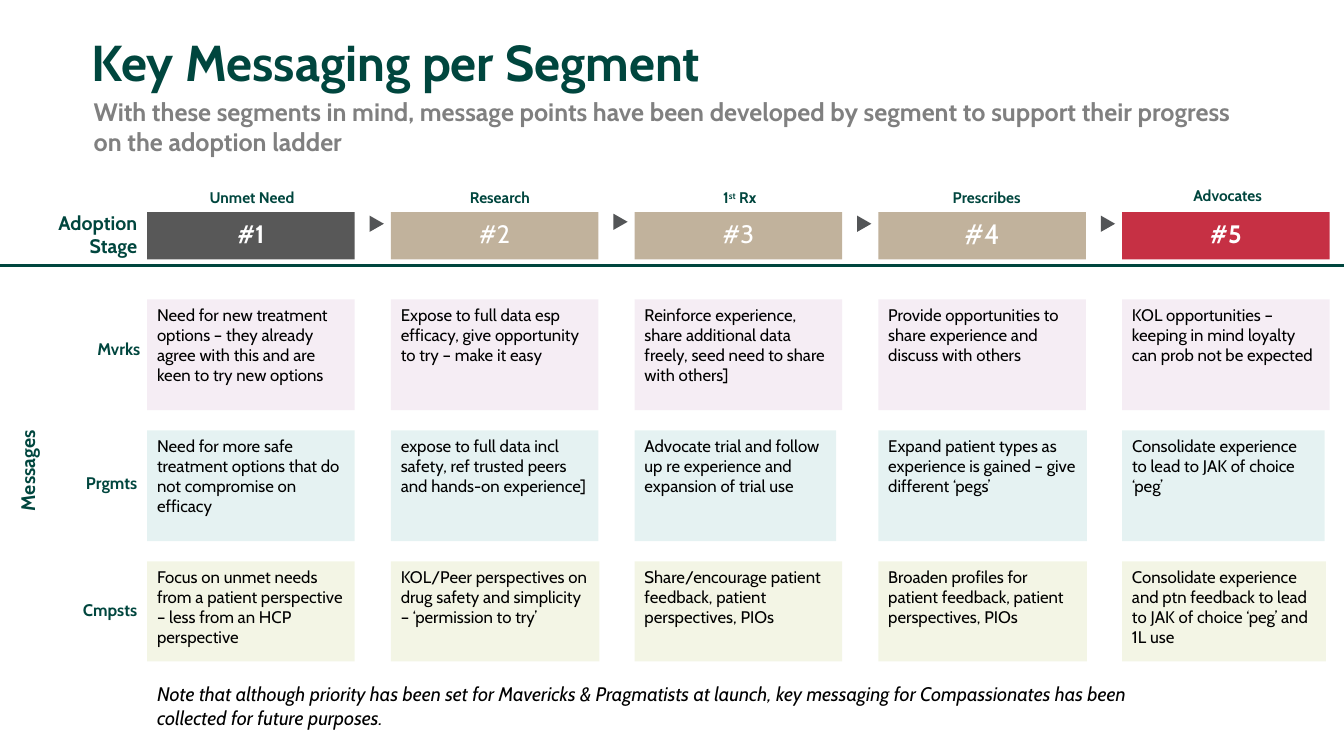
from lxml import etree
from pptx import Presentation
from pptx.dml.color import RGBColor
from pptx.enum import shapes, text
from pptx.oxml.ns import qn
from pptx.util import Pt

FONT = "Cabin"
HUE = dict(green="00463E", grey="808080", dark="585858", arrow="535557",
           tan="C1B29C", red="C63044", white="FFFFFF", black="000000",
           plum="A15699", teal="008986", olive="8CA509")

TITLE = "Key Messaging per Segment"
LEAD = ("With these segments in mind, message points have been developed by "
        "segment to support their progress on the adoption ladder")
NOTE = ("Note that although priority has been set for Mavericks & Pragmatists "
        "at launch, key messaging for Compassionates has been collected for "
        "future purposes.")

# caption, caption left, caption top, fill, number size, bold, arrow top
STAGES = [
    ("Unmet Need", 131.8, 131, "dark", 18, True, 154.8),
    ("Research", 308.9, 131, "tan", 18, False, 153.4),
    ("1st Rx", 480.2, 131, "tan", 18, False, 154.8),
    ("Prescribes", 656.6, 131, "tan", 20, False, 154.8),
    ("Advocates", 828.7, 129.6, "red", 18, True, None),
]

# name, name box (left, top, width), fill, card height, card widths, messages
GROUPS = [
    ("Mvrks", (41.8, 238.6, 65.5), "plum", 79.2,
     (148.3, 148.3, 148.3, 148.3, 148.3), [
        "Need for new treatment options – they already agree with this and are keen to try new options",
        "Expose to full data esp efficacy, give opportunity to try – make it easy",
        "Reinforce experience, share additional data freely, seed need to share with others]",
        "Provide opportunities to share experience and discuss with others",
        "KOL opportunities – keeping in mind loyalty can prob not be expected"]),
    ("Prgmts", (46.8, 334.1, 58.3), "teal", 79.2,
     (148.3, 148.3, 144, 149, 144.7), [
        "Need for more safe treatment options that do not compromise on efficacy",
        "expose to full data incl safety, ref trusted peers and hands-on experience]",
        "Advocate trial and follow up re experience and expansion of trial use",
        "Expand patient types as experience is gained – give different ‘pegs’",
        "Consolidate experience to lead to JAK of choice ‘peg’"]),
    ("Cmpsts", (13.7, 425.2, 91.4), "olive", 71.5,
     (148.3, 149, 148.3, 149, 145.6), [
        "Focus on unmet needs from a patient perspective – less from an HCP perspective",
        "KOL/Peer perspectives on drug safety and simplicity – ‘permission to try’",
        "Share/encourage patient feedback, patient perspectives, PIOs",
        "Broaden profiles for patient feedback, patient perspectives, PIOs",
        "Consolidate experience and ptn feedback to lead to JAK of choice ‘peg’ and 1L use"]),
]

LEFT, STEP, WIDE = 105.1, 174.1, 148.3
TOP, DROP = 213.8, 93.6
KIND = shapes.MSO_SHAPE
ALIGN = text.PP_ALIGN
ANCHOR = text.MSO_ANCHOR

deck = Presentation()
deck.slide_width, deck.slide_height = Pt(960), Pt(540)
slide = deck.slides.add_slide(deck.slide_layouts[5])


def rgb(name):
    return RGBColor.from_string(HUE[name])


def style(frame, size, color, bold=False, italic=False, align=ALIGN.LEFT):
    frame.word_wrap = True
    para = frame.paragraphs[0]
    para.alignment = align
    for run in para.runs:
        font = run.font
        font.name, font.size = FONT, Pt(size)
        font.bold, font.italic = bold, italic
        font.color.rgb = rgb(color)


def label(words, box, size, color="green", bold=True, **more):
    item = slide.shapes.add_textbox(*map(Pt, box))
    item.text_frame.text = words
    style(item.text_frame, size, color, bold, **more)
    return item


def block(kind, box, fill, alpha=None):
    """Add a flat preset shape; alpha is its opacity in percent."""
    item = slide.shapes.add_shape(kind, *map(Pt, box))
    item.shadow.inherit = False
    item.line.fill.background()
    item.fill.solid()
    item.fill.fore_color.rgb = rgb(fill)
    if alpha:
        tint = item.fill._xPr.find(".//" + qn("a:srgbClr"))
        etree.SubElement(tint, qn("a:alpha")).set("val", str(alpha * 1000))
    return item


def heading():
    title = slide.shapes.title
    title.left, title.top, title.width, title.height = map(
        Pt, (58.3, 20.9, 836.6, 46.8))
    frame = title.text_frame
    frame.text = TITLE
    frame.margin_top, frame.margin_bottom = Pt(1.4), Pt(0)
    frame.vertical_anchor = ANCHOR.TOP
    style(frame, 36, "green", True)
    label(LEAD, (59.8, 65.2, 826.6, 51.1), 18, "grey")


def ladder():
    label("Adoption Stage", (3.6, 146.9, 101.5, 41), 14, align=ALIGN.RIGHT)
    for i, (name, left, top, fill, size, bold, tip) in enumerate(STAGES):
        x = LEFT + i * STEP
        box = block(KIND.RECTANGLE, (x, 151.6, WIDE, 33.8), fill)
        frame = box.text_frame
        frame.text = f"#{i + 1}"
        frame.margin_top = Pt(0)
        frame.vertical_anchor = ANCHOR.MIDDLE
        style(frame, size, "white", bold, align=ALIGN.CENTER)

        cap = label(name, (left, top, 96.5, 20.9), 11, align=ALIGN.CENTER)
        if name.startswith("1st"):
            para = cap.text_frame.paragraphs[0]
            para.text = ""
            for part in ("1", "st", " Rx"):
                para.add_run().text = part
            style(cap.text_frame, 11, "green", True, align=ALIGN.CENTER)
            para.runs[1].font._rPr.set("baseline", "30000")

        if tip:
            arrow = block(KIND.ISOSCELES_TRIANGLE,
                          (x + STEP - 15.8, tip, 11.5, 10.1), "arrow")
            arrow.rotation = 90

    rule = slide.shapes.add_connector(
        shapes.MSO_CONNECTOR.STRAIGHT, Pt(0), Pt(189.4), Pt(960), Pt(189.4))
    rule.line.color.rgb = rgb("green")
    rule.line.width = Pt(2.25)
    etree.SubElement(rule._element.spPr, qn("a:effectLst"))


def grid():
    side = label("Messages", (-31, 324, 101.5, 24.5), 14, align=ALIGN.CENTER)
    side.rotation = 270
    for j, (name, spot, fill, high, widths, words) in enumerate(GROUPS):
        label(name, (*spot, 21.6), 12, align=ALIGN.RIGHT)
        for i, (wide, line) in enumerate(zip(widths, words)):
            box = (LEFT + i * STEP, TOP + j * DROP, wide, high)
            frame = block(KIND.RECTANGLE, box, fill, 10).text_frame
            frame.text = line
            frame.vertical_anchor = ANCHOR.TOP
            style(frame, 12, "black")


def main():
    heading()
    ladder()
    grid()
    label(NOTE, (105.1, 483.8, 707.8, 41), 14, "black", False, italic=True)
    deck.save("out.pptx")


if __name__ == "__main__":
    main()
